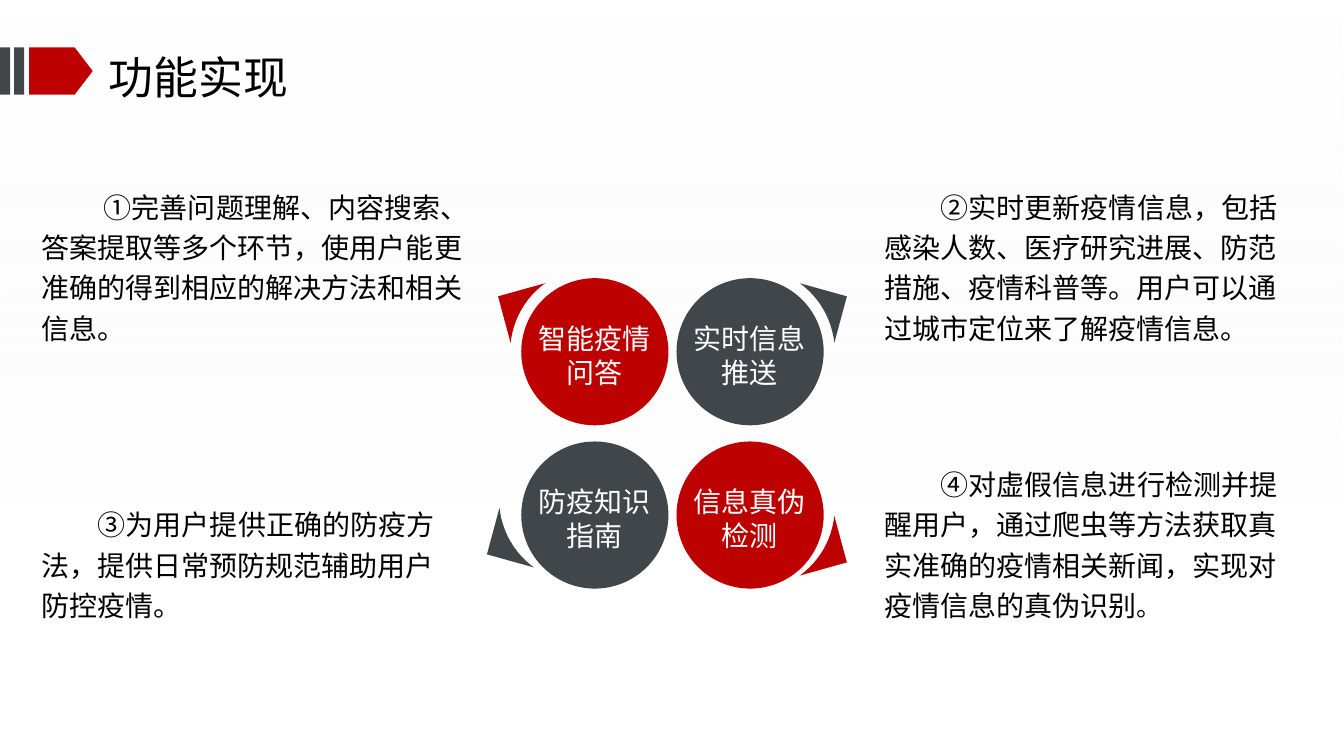
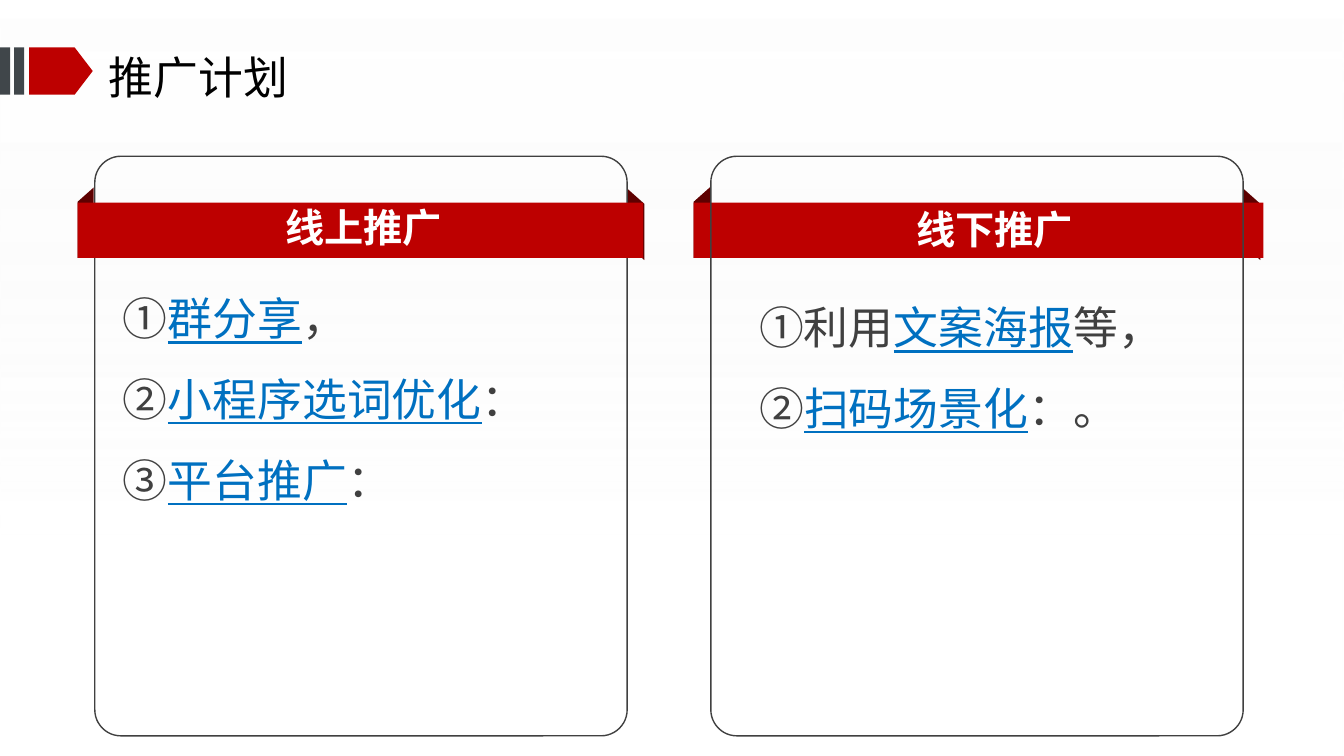
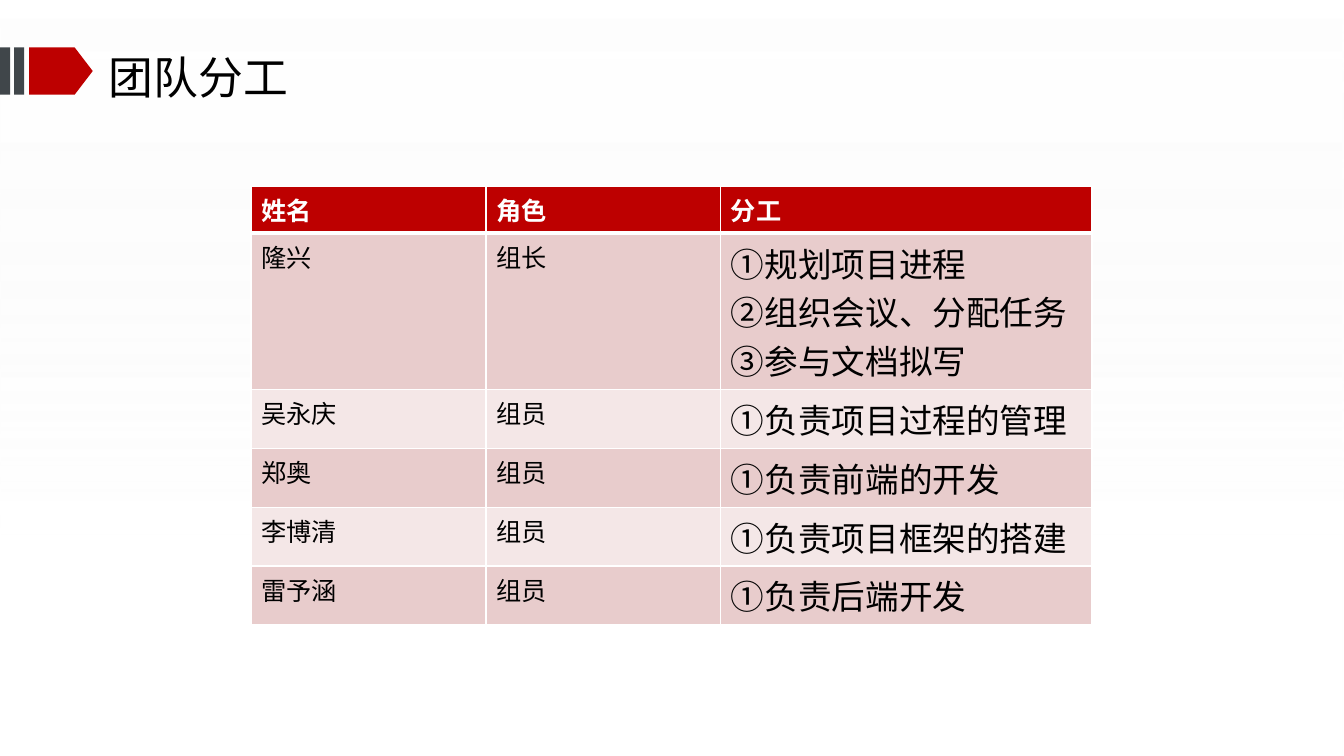
from math import cos, radians, sin
from lxml.etree import SubElement
from pptx import Presentation
from pptx.dml.color import RGBColor
from pptx.enum.shapes import MSO_SHAPE
from pptx.enum.text import MSO_ANCHOR, MSO_AUTO_SIZE, PP_ALIGN
from pptx.oxml.ns import qn
from pptx.util import Inches, Pt

RED, GREY, DARK = "BD0000", "40464A", "5E0000"
WHITE, BLACK, INK, BLUE = "FFFFFF", "000000", "404040", "0070C0"
ROSE, PALE = "E8CCCC", "F4E7E7"
SANS, LATIN = "Noto Sans CJK SC", "Calibri"
WIDE, TALL = 13.33, 7.5


def rgb(code):
    return RGBColor.from_string(code)


def add_run(para, text, size, color, font=SANS, bold=False, under=False):
    run = para.add_run()
    run.text = text
    face = run.font
    face.size, face.bold, face.underline = Pt(size), bold, under
    face.name = font
    face.color.rgb = rgb(color)
    props = face._element
    east = SubElement(props, qn("a:ea"))
    east.set("typeface", SANS)


def set_frame(frame, top=0.03):
    frame.word_wrap = True
    frame.auto_size = MSO_AUTO_SIZE.NONE
    frame.vertical_anchor = MSO_ANCHOR.TOP
    frame.margin_left = frame.margin_right = frame.margin_bottom = 0
    frame.margin_top = Inches(top)


def add_text(slide, box, paras, align=PP_ALIGN.LEFT, lead=24, indent=0):
    frame = slide.shapes.add_textbox(*map(Inches, box)).text_frame
    set_frame(frame)
    for i, runs in enumerate(paras):
        para = frame.add_paragraph() if i else frame.paragraphs[0]
        para.alignment, para.line_spacing = align, Pt(lead)
        if indent:
            para._p.get_or_add_pPr().set("indent", str(Inches(indent)))
        for run in runs:
            add_run(para, **run)


def paint(shape, fill=None, line=None):
    shape.shadow.inherit = False
    if fill:
        shape.fill.solid()
        shape.fill.fore_color.rgb = rgb(fill)
    else:
        shape.fill.background()
    if line:
        shape.line.color.rgb = rgb(line)
        shape.line.width = Pt(1)
    else:
        shape.line.fill.background()
    return shape


def add_form(slide, kind, box, fill=None, line=None, adj=None):
    shape = slide.shapes.add_shape(kind, *map(Inches, box))
    if adj is not None:
        shape.adjustments[0] = adj
    return paint(shape, fill, line)


def add_base(slide):
    back = add_form(slide, MSO_SHAPE.RECTANGLE, (0, 0, WIDE, TALL), WHITE)
    back.fill.gradient()
    back.fill.gradient_angle = 270
    for stop, (place, color, alpha) in zip(
            back.fill.gradient_stops, [(0, WHITE, 55), (0.71, "F2F2F2", 0)]):
        stop.position = place
        stop.color.rgb = rgb(color)
    for mark, alpha in zip(back.element.iter(qn("a:srgbClr")), (55, 0)):
        SubElement(mark, qn("a:alpha")).set("val", str(alpha * 1000))
    parts = [back, add_form(slide, MSO_SHAPE.PENTAGON, (0.29, 0.47, 0.63, 0.47),
                            RED, adj=0.382)]
    for left in (0.14, 0):
        parts.append(add_form(slide, MSO_SHAPE.RECTANGLE,
                              (left, 0.47, 0.1, 0.47), GREY))
    tree = slide.slide_layout.shapes.element
    for i, part in enumerate(parts):
        tree.insert(2 + i, part.element)


def new_slide(deck, text):
    slide = deck.slides.add_slide(deck.slide_layouts[5])
    title = slide.shapes.title
    title.left, title.top, title.width, title.height = map(
        Inches, (1.08, 0.44, 5.51, 0.55))
    set_frame(title.text_frame, 0.05)
    para = title.text_frame.paragraphs[0]
    para.alignment, para.line_spacing = PP_ALIGN.LEFT, Pt(38.4)
    add_run(para, text, 32, BLACK)
    return slide


def add_wedge(slide, x, y, across, down, fill):
    spots = [(0.84 * cos(radians(a)), 0.84 * sin(radians(a)))
             for a in range(54, 4, -4)] + [(0.96, 0.55)]
    spots = [(Inches(x + across * dx), Inches(y + down * dy)) for dx, dy in spots]
    form = slide.shapes.build_freeform(*spots[0])
    form.add_line_segments(spots[1:], close=True)
    paint(form.convert_to_shape(), fill)


def add_petal(slide, x, y, across, down, shift, fill, text):
    add_wedge(slide, x + shift[0], y + shift[1], across, down, fill)
    add_form(slide, MSO_SHAPE.OVAL, (x - 0.73, y - 0.73, 1.46, 1.46), fill)
    add_text(slide, (x - 0.67, y - 0.33, 1.33, 0.67),
             [[dict(text=text, size=20, color=WHITE)]], PP_ALIGN.CENTER)


def add_note(slide, box, text, indent=0.56, end=None):
    runs = [dict(text=text, size=20, color=BLACK, font=LATIN)]
    if end:
        runs.append(dict(text=end, size=18, color=BLACK, font=LATIN))
    add_text(slide, box, [runs], lead=28.8, indent=indent)


def add_fold(slide, box, turn, flip):
    fold = add_form(slide, MSO_SHAPE.PARALLELOGRAM, box, DARK, adj=0.891)
    fold.rotation = turn
    if flip:
        fold.element.spPr.find(qn("a:xfrm")).set("flipH", "1")


def add_panel(slide, box, title, head, body, items, band, front):
    x, y, wide, tall = box

    def add_edge():
        add_form(slide, MSO_SHAPE.ROUNDED_RECTANGLE, box, line=INK, adj=0.049)

    if not front:
        add_edge()
    add_fold(slide, (x - 0.44, y + 0.58, 0.7, 0.16), 270, True)
    add_fold(slide, (x + wide - 0.26, y + 0.6, 0.7, 0.16), 90, False)
    add_form(slide, MSO_SHAPE.RECTANGLE, (x - 0.17, y + 0.46, band, 0.55), RED)
    add_text(slide, (x + head[0], y + head[1], 2.93, 0.47),
             [[dict(text=title, size=28, color=WHITE, bold=True)]],
             PP_ALIGN.CENTER, 33.6)
    if front:
        add_edge()
    paras = [[dict(text=lead, size=32, color=INK),
              dict(text=key, size=32, color=BLUE, under=True),
              dict(text=end, size=32, color=INK)] for lead, key, end in items]
    add_text(slide, (x + body[0], y + body[1], body[2], 0.78 * len(items)),
             paras, PP_ALIGN.JUSTIFY, 57.6)


def set_edge(cell, side, width):
    props = cell._tc.get_or_add_tcPr()
    edge = SubElement(props, qn("a:ln" + side))
    edge.set("w", str(Pt(width)))
    fill = SubElement(edge, qn("a:solidFill"))
    SubElement(fill, qn("a:srgbClr")).set("val", WHITE)


def fill_cell(cell, lines, size, color, bold, fill, top, base):
    for side, width in zip("LRTB", (1, 1, top, base)):
        set_edge(cell, side, width)
    cell.fill.solid()
    cell.fill.fore_color.rgb = rgb(fill)
    for i, line in enumerate(lines):
        frame = cell.text_frame
        para = frame.add_paragraph() if i else frame.paragraphs[0]
        add_run(para, line, size, color, LATIN, bold)


def add_grid(slide, box, cols, rows):
    grid = slide.shapes.add_table(len(rows), len(cols), *map(Inches, box)).table
    for col, width in zip(grid.columns, cols):
        col.width = Inches(width)
    for r, texts in enumerate(rows):
        grid.rows[r].height = Inches(0.48 if r == 1 else 0.42)
        for c, text in enumerate(texts):
            fill = RED if r == 0 else ROSE if r % 2 else PALE
            size = 24 if r and c == 2 else 18
            fill_cell(grid.cell(r, c), text.split("\n"), size,
                      BLACK if r else WHITE, r == 0, fill,
                      3 if r == 1 else 1, 1 if r else 3)


def add_feats(deck):
    slide = new_slide(deck, "功能实现")
    add_base(slide)
    left, right, top, base = 5.9, 7.44, 3.49, 5.11
    for petal in [
        (left, top, -1, -1, (0, 0), RED, "智能疫情问答"),
        (right, top, 1, -1, (0, 0), GREY, "实时信息推送"),
        (left, base, -1, 1, (-0.11, -0.16), GREY, "防疫知识指南"),
        (right, base, 1, 1, (0, -0.08), RED, "信息真伪检测"),
    ]:
        add_petal(slide, *petal)
    add_note(slide, (0.41, 1.79, 4.42, 1.62),
             "①完善问题理解、内容搜索、答案提取等多个环节，"
             "使用户能更准确的得到相应的解决方法和相关信息。", 0.62)
    add_note(slide, (0.41, 4.94, 4.11, 1.21),
             "③为用户提供正确的防疫方法，提供日常预防规范辅助用户防控疫情。")
    add_note(slide, (8.77, 1.79, 4.06, 1.62),
             "②实时更新疫情信息，包括感染人数、医疗研究进展、防范措施、"
             "疫情科普等。用户可以通过城市定位来了解疫情信息。")
    add_note(slide, (8.77, 4.54, 4.06, 1.62),
             "④对虚假信息进行检测并提醒用户，通过爬虫等方法获取真实准确的"
             "疫情相关新闻，实现对疫情信息的真伪识别", end="。")


def add_plan(deck):
    slide = new_slide(deck, "推广计划")
    add_panel(slide, (0.94, 1.55, 5.28, 5.75), "线上推广",
              (1.2, 0.44), (0.28, 1.04, 4.73),
              [("①", "群分享", "，"), ("②", "小程序选词优化", "："),
               ("③", "平台推广", "：")], 5.61, False)
    add_panel(slide, (7.05, 1.55, 5.28, 5.75), "线下推广",
              (1.35, 0.46), (0.48, 1.13, 4.07),
              [("①利用", "文案海报", "等，"), ("②", "扫码场景化", "：。")],
              5.65, True)


def add_team(deck):
    slide = new_slide(deck, "团队分工")
    add_grid(slide, (2.49, 1.85, 8.35, 2.58), (2.33, 2.33, 3.68), [
        ("姓名", "角色", "分工"),
        ("隆兴", "组长", "①规划项目进程\n②组织会议、分配任务\n③参与文档拟写"),
        ("吴永庆", "组员", "①负责项目过程的管理"),
        ("郑奥", "组员", "①负责前端的开发"),
        ("李博清", "组员", "①负责项目框架的搭建"),
        ("雷予涵", "组员", "①负责后端开发"),
    ])


def main():
    deck = Presentation()
    deck.slide_width, deck.slide_height = Inches(WIDE), Inches(TALL)
    add_feats(deck)
    add_plan(deck)
    add_team(deck)
    deck.save("out.pptx")


if __name__ == "__main__":
    main()
